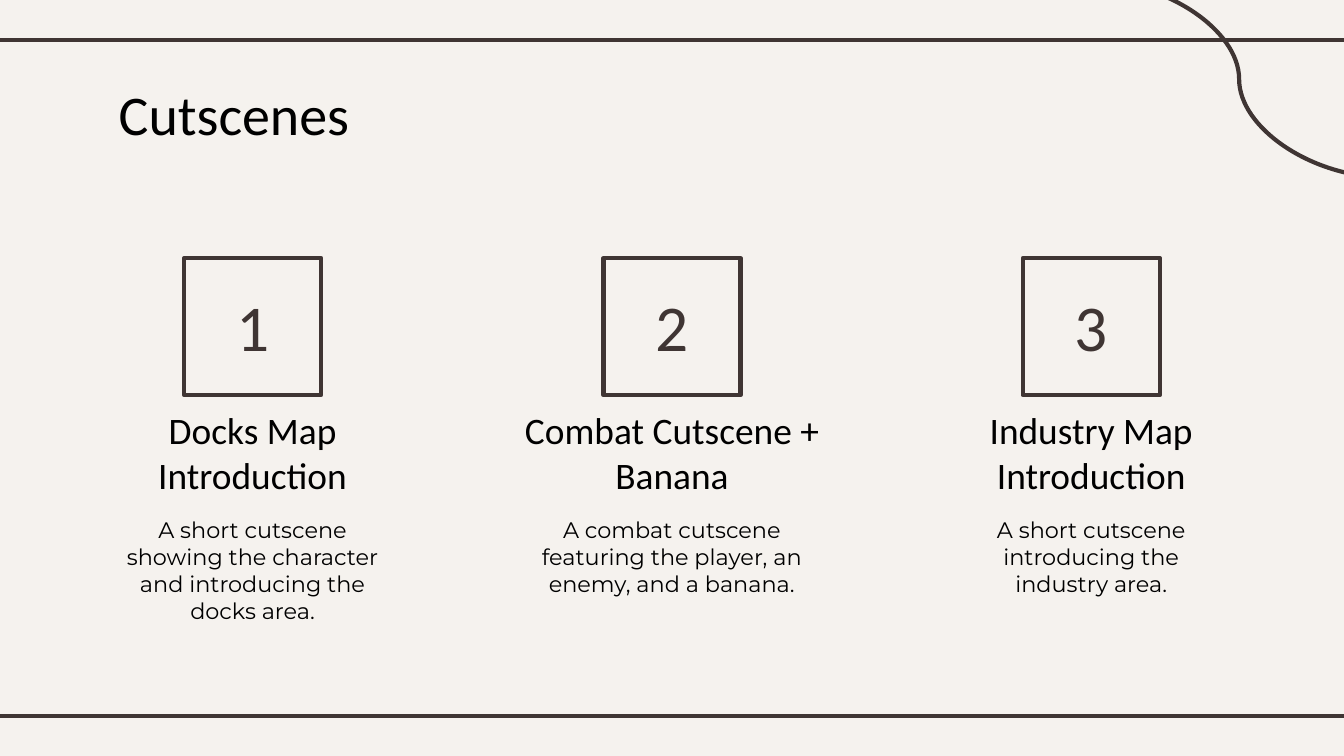
from dataclasses import dataclass

from lxml.etree import SubElement
from pptx import Presentation
from pptx.dml.color import RGBColor
from pptx.enum.shapes import MSO_CONNECTOR as Route, MSO_SHAPE as Preset
from pptx.enum.text import MSO_ANCHOR as Anchor, PP_ALIGN as Align
from pptx.oxml.ns import qn
from pptx.slide import Slide
from pptx.util import Inches, Pt

CREAM = RGBColor(0xF5, 0xF2, 0xEE)
BROWN = RGBColor(0x3F, 0x35, 0x33)
BLACK = RGBColor(0, 0, 0)
WIDTH = 10
HEIGHT = WIDTH * 9 / 16
STROKE = Pt(2.25)
PITCH = 3.12
OVERHANG = 0.08
SQUARE = 1.02


@dataclass(frozen=True)
class Cutscene:
    """One numbered column of the slide."""

    heading: str
    summary: str
    heading_width: float = 2.2
    summary_height: float = 0.63


@dataclass(frozen=True)
class Style:
    """Look of one kind of text."""

    size: int
    family: str = "Calibri"
    color: RGBColor = BLACK
    align: Align = Align.CENTER
    anchor: Anchor = Anchor.TOP


TITLE = Style(30, align=Align.LEFT)
HEADING = Style(20)
SUMMARY = Style(12, "Montserrat")
NUMBER = Style(35, color=BROWN, anchor=Anchor.MIDDLE)

CUTSCENES = (
    Cutscene("Docks Map Introduction",
             "A short cutscene showing the character and introducing the docks area."),
    Cutscene("Combat Cutscene + Banana",
             "A combat cutscene featuring the player, an enemy, and a banana.",
             heading_width=2.45, summary_height=0.98),
    Cutscene("Industry Map Introduction",
             "A short cutscene introducing the industry area."),
)


def add_stroke(slide: Slide, route: Route, start: tuple[float, float],
               end: tuple[float, float]) -> None:
    """Draw a brown connector without a shadow."""
    stroke = slide.shapes.add_connector(route, *map(Inches, start + end))
    stroke.line.color.rgb = BROWN
    stroke.line.width = STROKE
    SubElement(stroke._element.spPr, qn("a:effectLst"))


def add_text(slide: Slide, wording: str, style: Style, center: float, top: float,
             width: float, height: float) -> None:
    """Write wrapped text in a box centred on a column."""
    box = slide.shapes.add_textbox(
        *map(Inches, (center - width / 2, top, width, height)))
    frame = box.text_frame
    frame.word_wrap = True
    frame.vertical_anchor = style.anchor
    frame.margin_left = frame.margin_right = Inches(0.1)
    frame.margin_top = frame.margin_bottom = Inches(0.1)
    paragraph = frame.paragraphs[0]
    paragraph.text = wording
    paragraph.alignment = style.align
    paragraph.font.size = Pt(style.size)
    paragraph.font.name = style.family
    paragraph.font.color.rgb = style.color


def add_square(slide: Slide, center: float, top: float) -> None:
    """Draw the outlined square behind a number."""
    square = slide.shapes.add_shape(
        Preset.RECTANGLE,
        *map(Inches, (center - SQUARE / 2, top, SQUARE, SQUARE)))
    square.shadow.inherit = False
    square.fill.solid()
    square.fill.fore_color.rgb = CREAM
    square.line.color.rgb = BROWN
    square.line.width = STROKE


def add_cutscene(slide: Slide, column: int, cutscene: Cutscene) -> None:
    """Draw one column: numbered square, heading and summary."""
    center = WIDTH / 2 + (column - 1) * PITCH
    add_square(slide, center, 1.92)
    add_text(slide, str(column + 1), NUMBER, center, 2.06, 1.11, 0.73)
    add_text(slide, cutscene.heading, HEADING, center, 2.93,
             cutscene.heading_width, 0.89)
    add_text(slide, cutscene.summary, SUMMARY, center, 3.74, 2.2,
             cutscene.summary_height)


def main() -> None:
    """Build and save the cutscenes slide."""
    deck = Presentation()
    deck.slide_width, deck.slide_height = Inches(WIDTH), Inches(HEIGHT)
    slide = deck.slides.add_slide(deck.slide_layouts[6])
    slide.background.fill.solid()
    slide.background.fill.fore_color.rgb = CREAM

    for level in (0.3, 5.33):
        add_stroke(slide, Route.STRAIGHT, (-OVERHANG, level), (WIDTH + OVERHANG, level))
    add_stroke(slide, Route.CURVE, (8.13, -0.14), (10.31, 1.32))

    add_text(slide, "Cutscenes", TITLE, 3.8, 0.49, 6.03, 0.63)
    for column, cutscene in enumerate(CUTSCENES):
        add_cutscene(slide, column, cutscene)
    deck.save("out.pptx")


if __name__ == "__main__":
    main()
